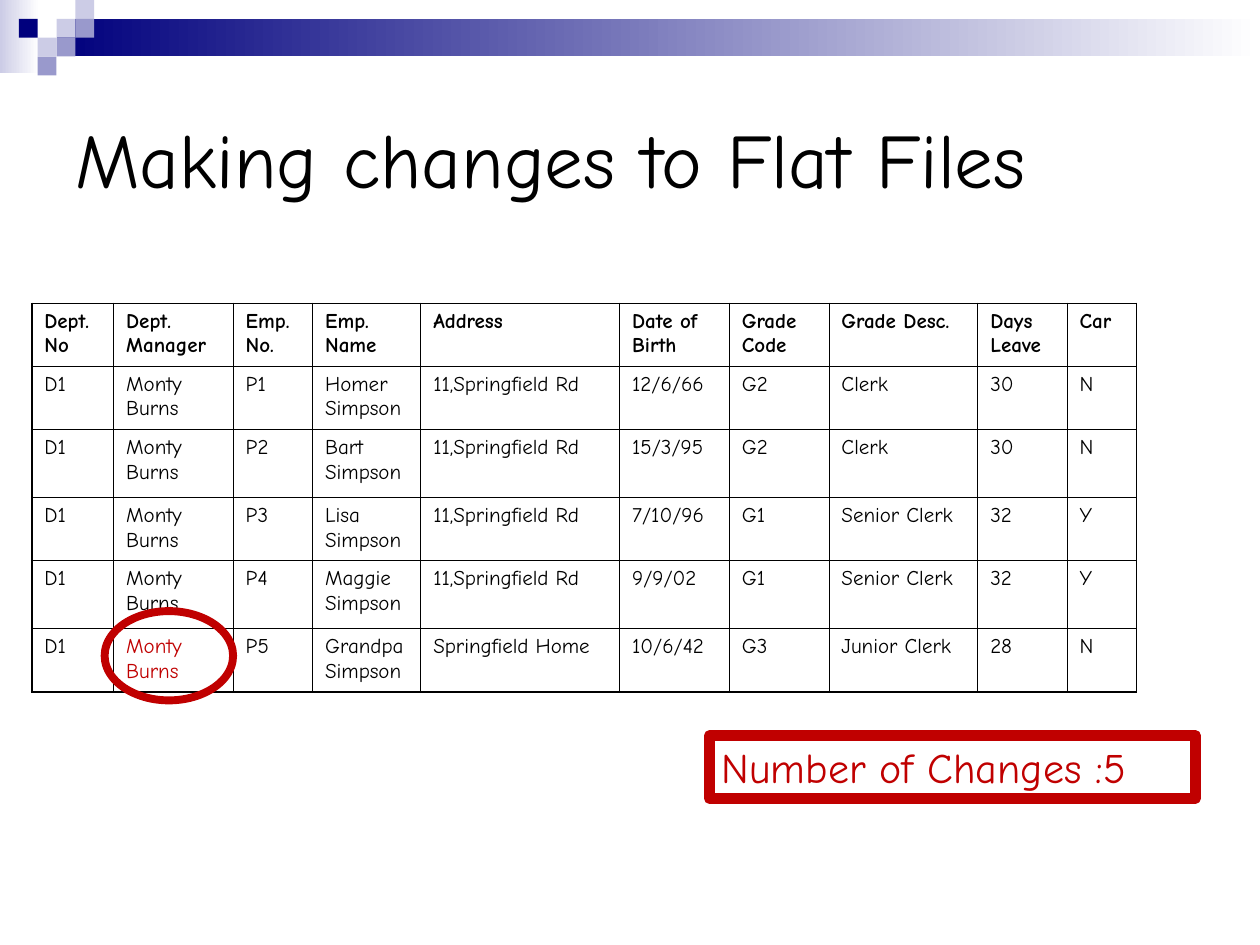
from dataclasses import dataclass

from lxml import etree
from pptx import Presentation
from pptx import util as u
from pptx.dml.color import RGBColor
from pptx.enum import shapes, text
from pptx.oxml import ns
from pptx.shapes.autoshape import Shape
from pptx.slide import Slide
from pptx.table import _Cell as Cell
from pptx.text.text import TextFrame

FONT = "Comic Neue"
BLACK = RGBColor(0x00, 0x00, 0x00)
WHITE = RGBColor(0xFF, 0xFF, 0xFF)
RED = RGBColor(0xC0, 0x00, 0x00)
NAVY = RGBColor(0x00, 0x00, 0x7D)
LILAC = RGBColor(0xCC, 0xCC, 0xE6)
VIOLET = RGBColor(0x99, 0x99, 0xCC)

SQUARE = 0.38
THIN, THICK = 0.45, 1.08

COLUMN_WIDTHS = [1.65, 2.41, 1.6, 2.18, 4.01, 2.21, 2.01, 3.0, 1.8, 1.4]
ROW_HEIGHTS = [1.27, 1.27, 1.37, 1.27, 1.37, 1.27]
HEADER = ["Dept.\vNo", "Dept. Manager", "Emp. No.", "Emp. Name", "Address",
          "Date of Birth", "Grade Code", "Grade Desc.", "Days Leave", "Car"]


@dataclass
class Area:
    """A rectangle in centimetres."""
    left: float
    top: float
    width: float
    height: float

    def lengths(self) -> list[u.Length]:
        return [u.Cm(v) for v in (self.left, self.top, self.width, self.height)]


@dataclass
class Mosaic:
    """One square of the corner pattern, placed on a grid of squares."""
    column: int
    row: int
    color: RGBColor


@dataclass
class Employee:
    number: str
    name: str
    address: str
    birth: str
    grade: str
    grade_name: str
    leave: str
    car: str

    def cells(self) -> list[str]:
        return ["D1", "Monty Burns", self.number, self.name, self.address,
                self.birth, self.grade, self.grade_name, self.leave, self.car]


MOSAICS = [
    Mosaic(3, 1, LILAC), Mosaic(4, 0, LILAC), Mosaic(4, 1, VIOLET),
    Mosaic(2, 2, LILAC), Mosaic(1, 1, NAVY), Mosaic(3, 2, VIOLET),
    Mosaic(2, 3, VIOLET),
]

SHARED_HOME = "11,Springfield Rd"
EMPLOYEES = [
    Employee("P1", "Homer Simpson", SHARED_HOME, "12/6/66", "G2", "Clerk", "30", "N"),
    Employee("P2", "Bart Simpson", SHARED_HOME, "15/3/95", "G2", "Clerk", "30", "N"),
    Employee("P3", "Lisa Simpson", SHARED_HOME, "7/10/96", "G1", "Senior Clerk", "32", "Y"),
    Employee("P4", "Maggie Simpson", SHARED_HOME, "9/9/02", "G1", "Senior Clerk", "32", "Y"),
    Employee("P5", "Grandpa Simpson", "Springfield Home", "10/6/42", "G3",
             "Junior Clerk", "28", "N"),
]


def write(frame: TextFrame, words: str, size: float, color: RGBColor,
          bold: bool = False) -> None:
    frame.text = words
    frame.word_wrap = True
    for para in frame.paragraphs:
        para.alignment = text.PP_ALIGN.LEFT
        for span in para.runs:
            span.font.name = FONT
            span.font.size = u.Pt(size)
            span.font.bold = bold
            span.font.color.rgb = color


def add_plain(page: Slide, kind: shapes.MSO_SHAPE, area: Area) -> Shape:
    """Add a shape without shadow, fill or line."""
    shape = page.shapes.add_shape(kind, *area.lengths())
    shape.shadow.inherit = False
    shape.fill.background()
    shape.line.fill.background()
    return shape


def add_fade(page: Slide, area: Area, color: RGBColor) -> None:
    """Add a bar that fades from the colour to white, left to right."""
    bar = add_plain(page, shapes.MSO_SHAPE.RECTANGLE, area)
    bar.fill.gradient()
    bar.fill.gradient_angle = 0
    for stop, position, shade in zip(bar.fill.gradient_stops, (0, 1), (color, WHITE)):
        stop.position = position
        stop.color.rgb = shade


def add_outline(page: Slide, kind: shapes.MSO_SHAPE, area: Area, width: float) -> Shape:
    shape = add_plain(page, kind, area)
    shape.line.color.rgb = RED
    shape.line.width = u.Pt(width)
    return shape


def set_borders(cell: Cell, widths: dict[str, float]) -> None:
    properties = cell._tc.get_or_add_tcPr()
    for side, width in widths.items():
        line = etree.SubElement(properties, ns.qn(f"a:ln{side}"), w=str(u.Pt(width)))
        fill = etree.SubElement(line, ns.qn("a:solidFill"))
        etree.SubElement(fill, ns.qn("a:srgbClr"), val=str(BLACK))


def add_staff_table(page: Slide) -> None:
    rows = [HEADER] + [employee.cells() for employee in EMPLOYEES]
    area = Area(0.64, 6.12, sum(COLUMN_WIDTHS), sum(ROW_HEIGHTS))
    table = page.shapes.add_table(len(rows), len(HEADER), *area.lengths()).table
    table.first_row = table.horz_banding = False
    for column, width in zip(table.columns, COLUMN_WIDTHS):
        column.width = u.Cm(width)
    for row, height in zip(table.rows, ROW_HEIGHTS):
        row.height = u.Cm(height)

    last_row, last_column = len(rows) - 1, len(HEADER) - 1
    for r, row in enumerate(rows):
        for c, words in enumerate(row):
            cell = table.cell(r, c)
            changed = (r, c) == (last_row, 1)
            write(cell.text_frame, words, 12, RED if changed else BLACK, bold=r == 0)
            set_borders(cell, {
                "L": THICK if c == 0 else THIN,
                "R": THICK if c == last_column else THIN,
                "T": THICK if r == 0 else THIN,
                "B": THICK if r == last_row else THIN,
            })
            cell.fill.background()


def main() -> None:
    deck = Presentation()
    deck.slide_width, deck.slide_height = u.Cm(25.4), u.Cm(19.05)
    page = deck.slides.add_slide(deck.slide_layouts[6])

    add_fade(page, Area(0, 0, 0.79, 1.47), LILAC)
    add_fade(page, Area(3 * SQUARE, SQUARE, 24.26, 2 * SQUARE), NAVY)
    for mosaic in MOSAICS:
        area = Area(mosaic.column * SQUARE, mosaic.row * SQUARE, SQUARE, SQUARE)
        square = add_plain(page, shapes.MSO_SHAPE.RECTANGLE, area)
        square.fill.solid()
        square.fill.fore_color.rgb = mosaic.color

    title = page.shapes.add_textbox(*Area(1.27, 1.27, 22.86, 3.81).lengths())
    write(title.text_frame, "Making changes to Flat Files", 44, BLACK)
    title.text_frame.vertical_anchor = text.MSO_ANCHOR.MIDDLE

    count = add_outline(page, shapes.MSO_SHAPE.RECTANGLE, Area(14.3, 14.83, 9.8, 1.27), 6)
    write(count.text_frame, "Number of Changes :5", 24, RED)
    count.text_frame.vertical_anchor = text.MSO_ANCHOR.TOP

    add_staff_table(page)
    add_outline(page, shapes.MSO_SHAPE.OVAL, Area(2.11, 12.32, 2.59, 1.8), 4.5)

    deck.save("out.pptx")


if __name__ == "__main__":
    main()
